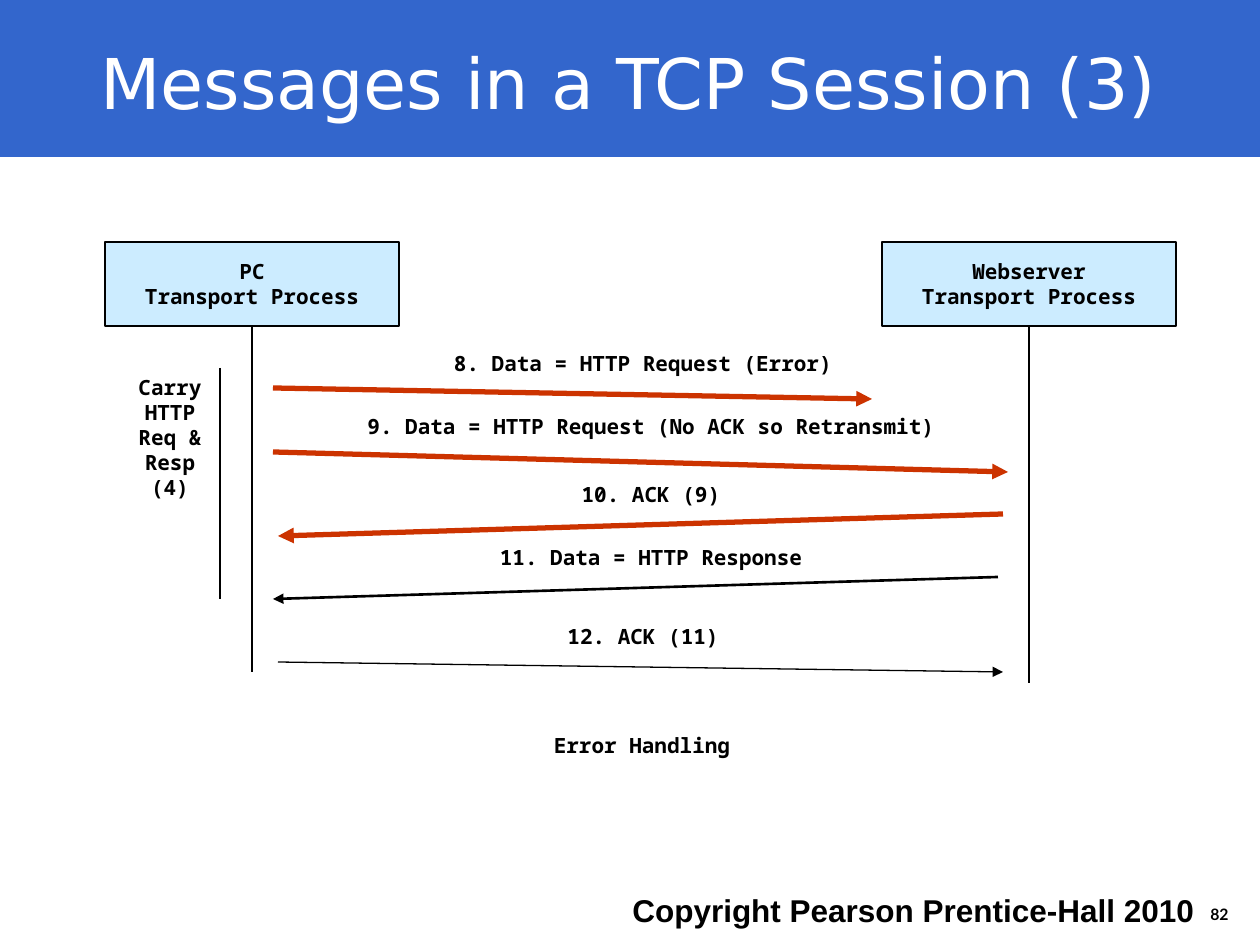
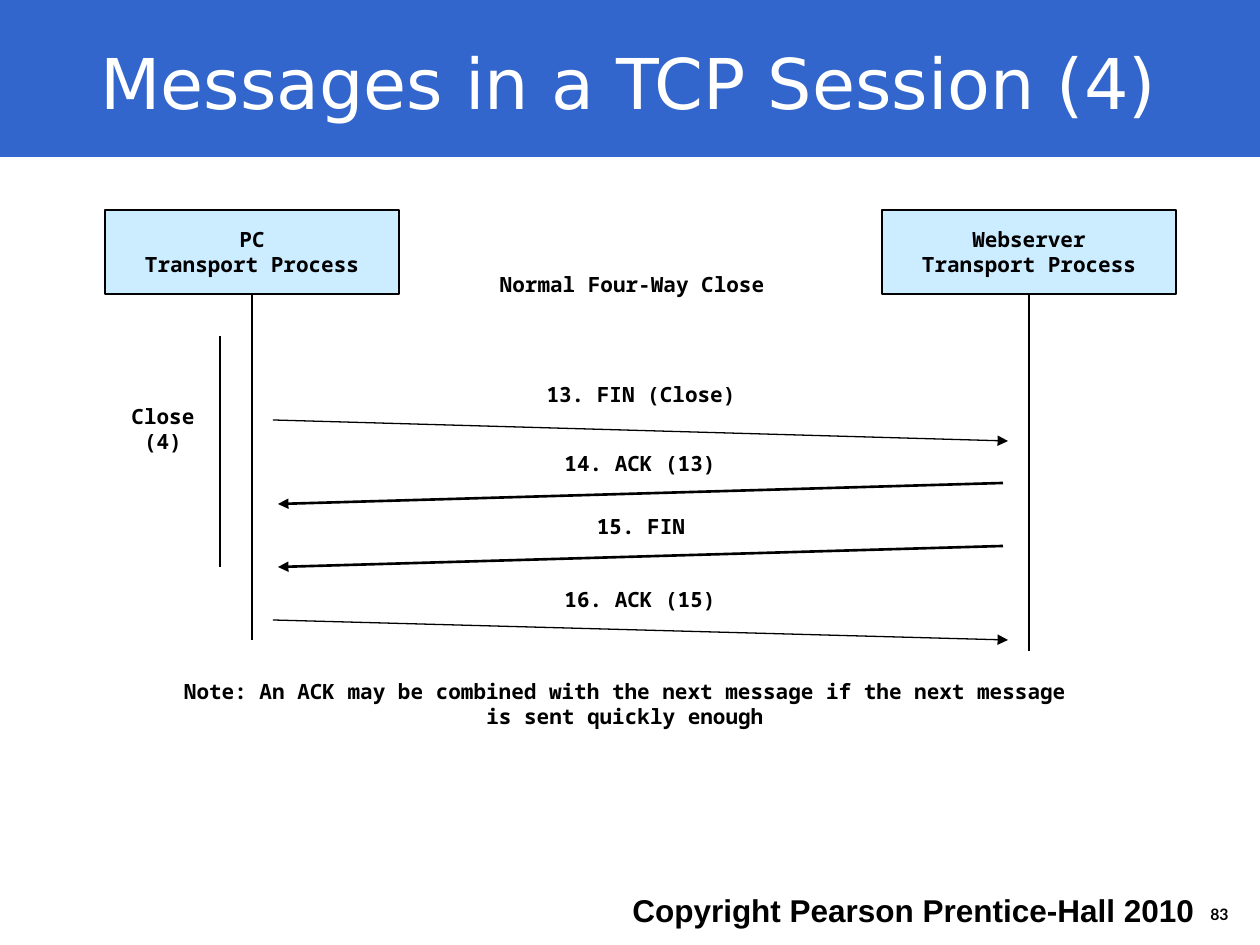
import lxml.etree
import pptx
import pptx.dml.color
import pptx.enum.shapes
import pptx.enum.text
import pptx.oxml.ns
import pptx.util

ANCHOR = pptx.enum.text.MSO_ANCHOR
ALIGN = pptx.enum.text.PP_ALIGN
AUTO_SIZE = pptx.enum.text.MSO_AUTO_SIZE

COPYRIGHT = "Copyright Pearson Prentice-Hall 2010"
PROCESSES = [
    {"lines": ["PC", "Transport Process"], "left": 105, "lifeline": 430},
    {"lines": ["Webserver", "Transport Process"], "left": 882, "lifeline": 441},
]
SLIDES = [
    {
        "title": "Messages in a TCP Session (3)",
        "number": "82",
        "top": 242,
        "phase": (["Carry", "HTTP", "Req &", "Resp", "(4)"], 170, 368),
        "messages": [
            ("8. Data = HTTP Request (Error)", 643, 344, (273, 388), (872, 399), "error"),
            ("9. Data = HTTP Request (No ACK so Retransmit)", 651, 407, (273, 452), (1008, 472), "error"),
            ("10. ACK (9)", 651, 475, (1003, 514), (278, 536), "error"),
            ("11. Data = HTTP Response", 651, 538, (998, 577), (273, 599), "server"),
            ("12. ACK (11)", 643, 617, (278, 662), (1003, 672), "client"),
        ],
        "captions": [(["Error Handling"], 642, 726)],
    },
    {
        "title": "Messages in a TCP Session (4)",
        "number": "83",
        "top": 210,
        "phase": (["Close", "(4)"], 163, 397),
        "messages": [
            ("13. FIN (Close)", 641, 375, (273, 420), (1008, 441), "client"),
            ("14. ACK (13)", 640, 444, (1003, 483), (278, 504), "server"),
            ("15. FIN", 641, 507, (1003, 546), (278, 567), "server"),
            ("16. ACK (15)", 640, 580, (273, 620), (1008, 640), "client"),
        ],
        "captions": [
            (["Note: An ACK may be combined with the next message if the next message",
              "is sent quickly enough"], 625, 672),
            (["Normal Four-Way Close"], 632, 265),
        ],
    },
]

THEME = {
    "colors": {
        "background": "B2B2B2", "band": "3366CC", "paper": "FFFFFF",
        "process": "CCECFF", "ink": "000000", "error": "CC3300",
    },
    "fonts": {
        "title": ({"name": "DejaVu Sans", "size": pptx.util.Pt(40), "bold": False}, "paper"),
        "label": ({"name": "Noto Sans Mono", "size": pptx.util.Pt(12), "bold": True}, "ink"),
        "copyright": ({"name": "Arial", "size": pptx.util.Pt(18), "bold": True}, "ink"),
        "number": ({"name": "Lato", "size": pptx.util.Pt(9), "bold": True}, "ink"),
    },
    "lines": {
        "thin": ("ink", 0.75), "client": ("ink", 0.75),
        "server": ("ink", 1.5), "error": ("error", 3),
    },
}

PX = 914400 / 126
SLIDE_WIDTH, SLIDE_HEIGHT, BAND_HEIGHT = 1260, 945, 157
PROCESS_WIDTH, PROCESS_HEIGHT = 294, 84
LIFELINE_OFFSET = 63
BRACKET_X, BRACKET_START, BRACKET_END = 220, 126, 357


def px(*lengths):
    return [round(length * PX) for length in lengths]


def color(name):
    return pptx.dml.color.RGBColor.from_string(THEME["colors"][name])


def set_attributes(target, values):
    for name, value in values.items():
        setattr(target, name, value)


def write(shape, lines, style, alignment, frame_format):
    frame = shape.text_frame
    set_attributes(frame, frame_format)
    frame.text = "\n".join(lines)
    font_format, font_color = THEME["fonts"][style]
    for paragraph in frame.paragraphs:
        paragraph.alignment = alignment
        set_attributes(paragraph.font, font_format)
        paragraph.font.color.rgb = color(font_color)


def add_text(slide, box, lines, style, alignment, frame_format):
    shape = slide.shapes.add_textbox(*px(*box))
    write(shape, lines, style, alignment, frame_format)


def add_label(slide, lines, center, top):
    width = 17 * max(map(len, lines)) + 17
    height = 25 * len(lines) + 13
    add_text(slide, (center - width / 2, top, width, height), lines, "label", ALIGN.CENTER,
             {"word_wrap": False, "auto_size": AUTO_SIZE.SHAPE_TO_FIT_TEXT})


def add_rectangle(slide, box, fill, line=None):
    shape = slide.shapes.add_shape(pptx.enum.shapes.MSO_SHAPE.RECTANGLE, *px(*box))
    shape.shadow.inherit = False
    shape.fill.solid()
    shape.fill.fore_color.rgb = color(fill)
    if line:
        format_line(shape.line, line)
    else:
        shape.line.fill.background()
    return shape


def format_line(line, style):
    line_color, width = THEME["lines"][style]
    line.color.rgb = color(line_color)
    line.width = pptx.util.Pt(width)


def add_line(slide, start, end, style="thin", arrow=False):
    connector = slide.shapes.add_connector(
        pptx.enum.shapes.MSO_CONNECTOR.STRAIGHT, *px(*start, *end))
    format_line(connector.line, style)
    qn = pptx.oxml.ns.qn
    properties = connector.element.spPr
    if arrow:
        lxml.etree.SubElement(properties.find(qn("a:ln")), qn("a:tailEnd"), type="triangle")
    lxml.etree.SubElement(properties, qn("a:effectLst"))


def add_frame(slide, title_text, number):
    slide.background.fill.solid()
    slide.background.fill.fore_color.rgb = color("background")
    title = slide.shapes.title
    for fill, top, height in [("band", 0, BAND_HEIGHT),
                              ("paper", BAND_HEIGHT, SLIDE_HEIGHT - BAND_HEIGHT)]:
        band = add_rectangle(slide, (0, top, SLIDE_WIDTH, height), fill)
        title.element.addprevious(band.element)
    set_attributes(title, dict(zip(("left", "top", "width", "height"), px(43, 8, 1171, 147))))
    write(title, [title_text], "title", ALIGN.CENTER,
          {"vertical_anchor": ANCHOR.MIDDLE, "word_wrap": True, "auto_size": AUTO_SIZE.NONE})
    add_text(slide, (1100, 891, 141, 39), [number], "number", ALIGN.RIGHT,
             {"vertical_anchor": ANCHOR.BOTTOM, "word_wrap": True})
    add_text(slide, (620, 885, 598, 50), [COPYRIGHT], "copyright", ALIGN.LEFT,
             {"word_wrap": True})


def add_process(slide, process, top):
    center = process["left"] + PROCESS_WIDTH / 2
    add_line(slide, (center, top + LIFELINE_OFFSET), (center, top + process["lifeline"]))
    box = add_rectangle(slide, (process["left"], top, PROCESS_WIDTH, PROCESS_HEIGHT),
                        "process", "thin")
    write(box, process["lines"], "label", ALIGN.CENTER,
          {"vertical_anchor": ANCHOR.MIDDLE, "word_wrap": False})


def build_slide(presentation, content):
    slide = presentation.slides.add_slide(presentation.slide_layouts[5])
    add_frame(slide, content["title"], content["number"])
    top = content["top"]
    for process in PROCESSES:
        add_process(slide, process, top)
    add_line(slide, (BRACKET_X, top + BRACKET_START), (BRACKET_X, top + BRACKET_END))
    for text, center, label_top, start, end, style in content["messages"]:
        add_line(slide, start, end, style, arrow=True)
        add_label(slide, [text], center, label_top)
    for lines, center, label_top in [content["phase"], *content["captions"]]:
        add_label(slide, lines, center, label_top)


def main():
    presentation = pptx.Presentation()
    presentation.slide_width, presentation.slide_height = px(SLIDE_WIDTH, SLIDE_HEIGHT)
    for content in SLIDES:
        build_slide(presentation, content)
    presentation.save("out.pptx")


if __name__ == "__main__":
    main()
